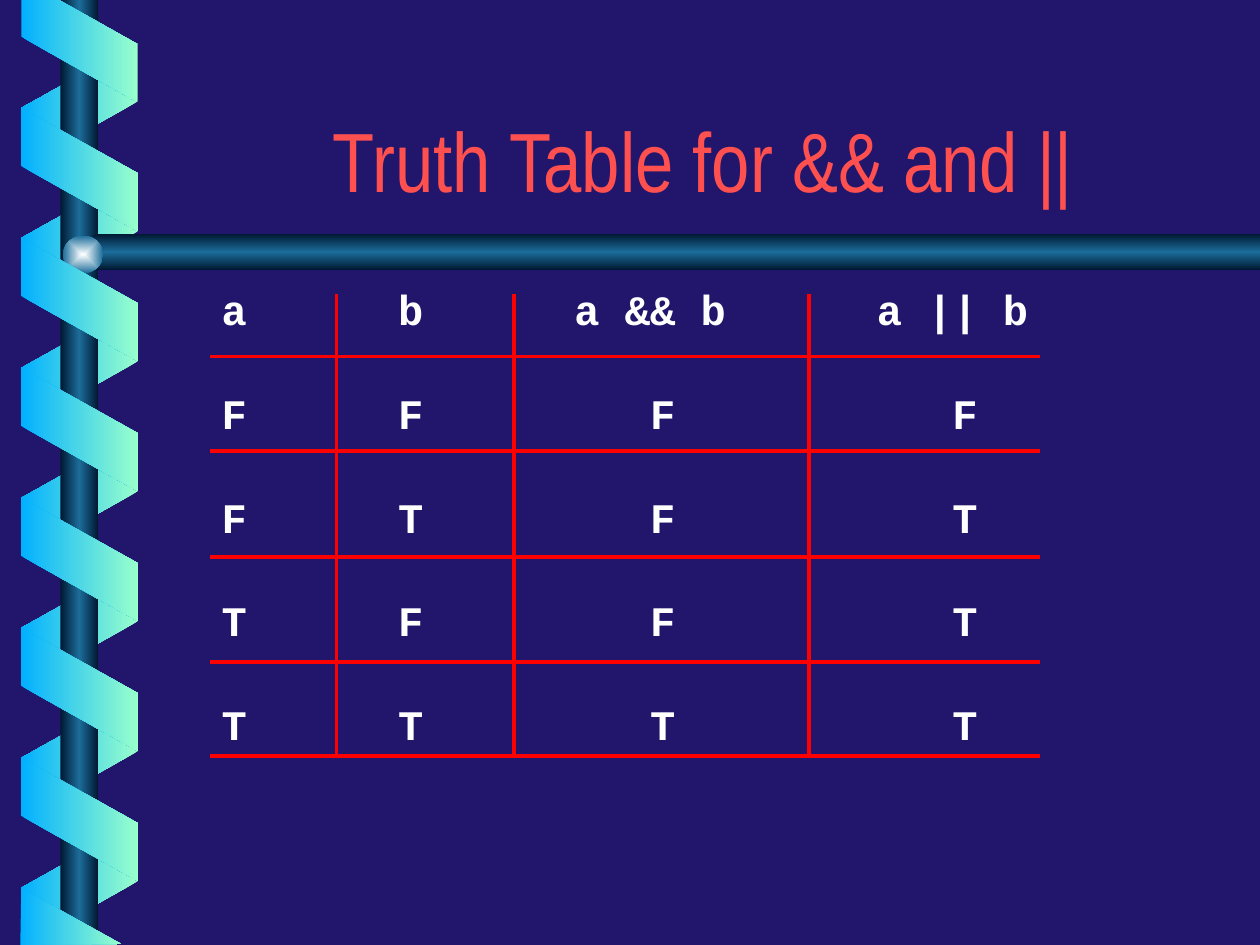
from lxml import etree
from pptx import Presentation
from pptx.dml.color import RGBColor
from pptx.enum.shapes import MSO_CONNECTOR, MSO_SHAPE
from pptx.enum.text import MSO_ANCHOR, PP_ALIGN
from pptx.oxml import parse_xml
from pptx.oxml.ns import nsdecls, qn
from pptx.util import Cm, Pt

STRAIGHT = MSO_CONNECTOR.STRAIGHT
PARALLELOGRAM, RECTANGLE, OVAL = MSO_SHAPE.PARALLELOGRAM, MSO_SHAPE.RECTANGLE, MSO_SHAPE.OVAL
CENTER, BOTTOM = PP_ALIGN.CENTER, MSO_ANCHOR.BOTTOM

COLORS = {
    "background": "22166C", "title": "FF5050", "text": "FFFFFF", "rule": "FF0000",
    "blue": "01B0FF", "mint": "99FFCC", "dark": "001932", "steel": "1C6D9A", "shine": "FEFFFF",
}
RIBBON = ("blue", "mint")
TUBE = ("dark", "steel", "dark")
RIBBON_PITCH = 2.62
CHARACTER_WIDTH = 0.508
HEADER_COLUMNS = (7, 14, 26)
VALUE_COLUMNS = (7, 17, 29)
TRUTH_ROWS = ("FFFF", "FTFT", "TFFT", "TTTT")
ROW_LINES = (7.19, 9.09, 11.23, 13.34, 15.24)
COLUMN_LINES = (6.78, 10.36, 16.31)


class SlideBuilder:
    """Holds the style and the current slide, and adds each kind of element."""

    def __init__(self, presentation):
        self.slide = presentation.slides.add_slide(presentation.slide_layouts[5])
        fill = self.slide.background.fill
        fill.solid()
        fill.fore_color.rgb = self.color("background")

    def color(self, name):
        return RGBColor.from_string(COLORS[name])

    def style_font(self, font, name, size, color, bold=False):
        font.name, font.size, font.bold = name, Pt(size), bold
        font.color.rgb = self.color(color)

    def paint(self, shape, names, direction):
        shape.shadow.inherit = False
        shape.line.fill.background()
        shape.fill.background()
        stops = "".join(
            f'<a:gs pos="{index * 100000 // (len(names) - 1)}"><a:srgbClr val="{COLORS[name]}"/></a:gs>'
            for index, name in enumerate(names))
        gradient = parse_xml(
            f'<a:gradFill {nsdecls("a")} rotWithShape="0"><a:gsLst>{stops}</a:gsLst>{direction}</a:gradFill>')
        properties = shape.element.spPr
        properties.replace(properties.find(qn("a:noFill")), gradient)

    def linear(self, degrees):
        return f'<a:lin ang="{degrees * 60000}" scaled="1"/>'

    def gradient_shape(self, kind, box, names, direction):
        shape = self.slide.shapes.add_shape(kind, *map(Cm, box))
        self.paint(shape, names, direction)
        return shape

    def ribbon(self, top, height, rotation, names, flipped=False):
        shape = self.gradient_shape(PARALLELOGRAM, (0.36, top, 2.49, height), names, self.linear(0))
        shape.adjustments[0] = 0.56
        shape.rotation = rotation
        if flipped:
            shape.element.spPr.xfrm.set("flipH", "1")

    def outline(self, points, names, degrees):
        start, *others = [(Cm(x), Cm(y)) for x, y in points]
        builder = self.slide.shapes.build_freeform(*start)
        builder.add_line_segments(others, close=True)
        self.paint(builder.convert_to_shape(), names, self.linear(degrees))

    def title(self, text, box):
        title = self.slide.shapes.title
        title.left, title.top, title.width, title.height = map(Cm, box)
        frame = title.text_frame
        frame.text = text
        frame.vertical_anchor = BOTTOM
        paragraph = frame.paragraphs[0]
        paragraph.alignment = CENTER
        self.style_font(paragraph.font, "Arial Narrow", 48, "title")

    def truth_table(self, rows, box):
        frame = self.slide.shapes.add_textbox(*map(Cm, box)).text_frame
        frame.word_wrap = False
        for index, (cells, columns) in enumerate(rows):
            paragraph = frame.add_paragraph() if index else frame.paragraphs[0]
            paragraph.text = "\t".join(cells)
            tabs = etree.SubElement(paragraph._p.get_or_add_pPr(), qn("a:tabLst"))
            for column in columns:
                etree.SubElement(tabs, qn("a:tab"), pos=str(Cm(column * CHARACTER_WIDTH)), algn="l")
            paragraph.space_before = Pt(30.4 if index else 0)
            self.style_font(paragraph.font, "Courier New", 24, "text", bold=True)

    def rule(self, *ends):
        connector = self.slide.shapes.add_connector(STRAIGHT, *map(Cm, ends))
        connector.line.color.rgb = self.color("rule")
        connector.line.width = Pt(2)
        etree.SubElement(connector.element.spPr, qn("a:effectLst"))


def main():
    presentation = Presentation()
    presentation.slide_width, presentation.slide_height = Cm(25.4), Cm(19.05)
    builder = SlideBuilder(presentation)

    for index in range(7):
        builder.ribbon(0.94 + index * RIBBON_PITCH, 2.34, 90, RIBBON[::-1], flipped=True)
    builder.gradient_shape(RECTANGLE, (1.22, 0, 0.76, 19.05), TUBE, builder.linear(0))
    builder.outline([(25.4, 4.72), (1.93, 4.72), (1.52, 5.08), (1.93, 5.44), (25.4, 5.44)], TUBE, 90)
    builder.gradient_shape(
        OVAL, (1.27, 4.75, 0.81, 0.76), ("shine", "steel"),
        '<a:path path="rect"><a:fillToRect l="50000" t="50000" r="50000" b="50000"/></a:path>')
    for index in range(6):
        builder.ribbon(2.24 + index * RIBBON_PITCH, 2.36, 270, RIBBON)
    builder.outline([(0.43, 0), (0.43, 0.74), (2.77, 2.06), (2.77, 0.89), (1.19, 0)], RIBBON, 0)
    builder.outline([(2.44, 19.03), (0.43, 17.91), (0.41, 19.05)], RIBBON, 0)

    builder.title("Truth Table for && and ||", (3.38, 1.17, 21.59, 3.18))
    rows = [(("a", "b", "a && b", "a || b"), HEADER_COLUMNS)]
    rows += [(values, VALUE_COLUMNS) for values in TRUTH_ROWS]
    builder.truth_table(rows, (4.22, 5.6, 16.76, 9.4))
    for y in ROW_LINES:
        builder.rule(4.24, y, 20.96, y)
    for x in COLUMN_LINES:
        builder.rule(x, 15.24, x, 5.92)

    presentation.save("out.pptx")


if __name__ == "__main__":
    main()
